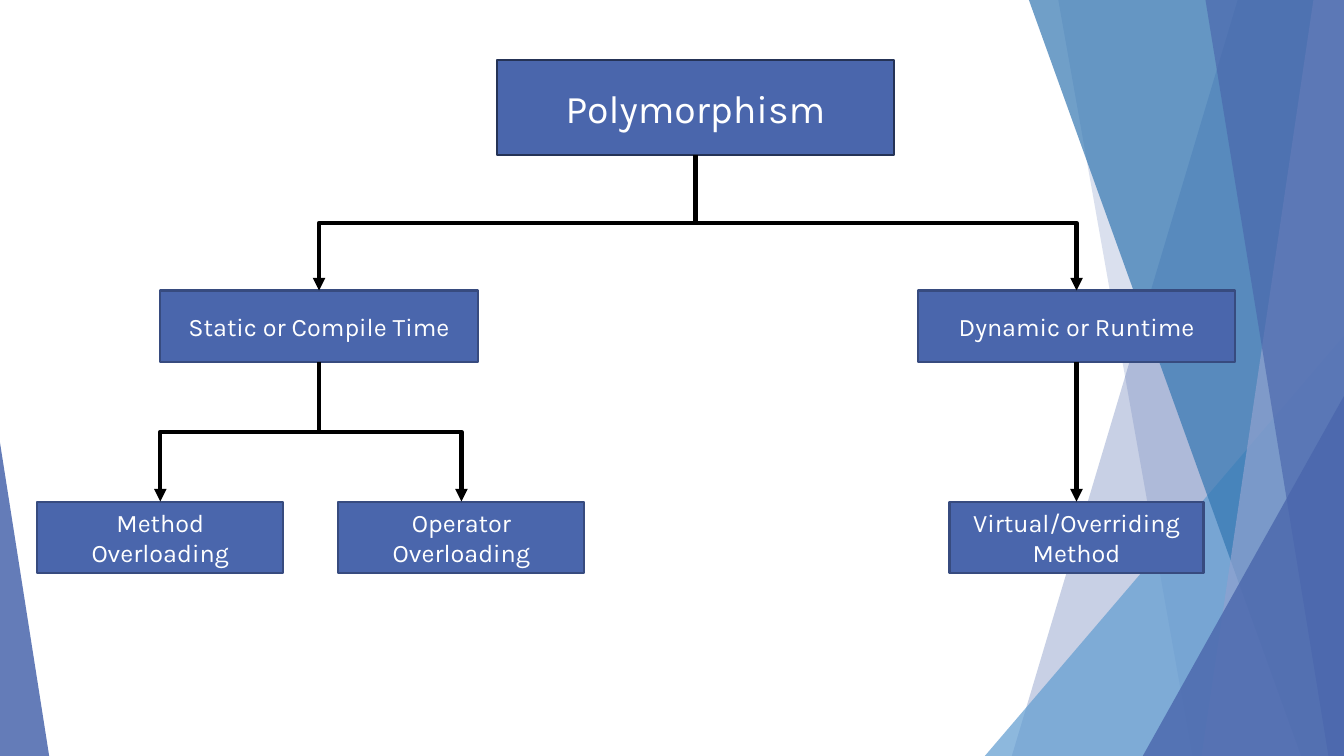
"""Builds the Polymorphism hierarchy slide with its faceted side panels."""
from lxml import etree
from pptx import Presentation, util as u
from pptx.dml.color import RGBColor
from pptx.enum import shapes as kinds, text
from pptx.oxml.ns import qn

Cm, Pt = u.Cm, u.Pt
WIDE, HIGH = 33.87, 19.05
FONT = "Karla"
HUES = {
    "white": "FFFFFF", "black": "000000", "blue": "4A66AC", "sky": "629DD1",
    "teal": "3477B2", "haze": "90A2CF", "navy": "253356", "edge": "374B7F",
}


def rgb(name):
    return RGBColor.from_string(HUES[name])


def draw_line(kind, ends, hue, width):
    line = slide.shapes.add_connector(kind, *ends)
    line.line.color.rgb = rgb(hue)
    line.line.width = Pt(width)
    etree.SubElement(line.element.spPr, qn("a:effectLst"))
    return line


deck = Presentation()
deck.slide_width, deck.slide_height = Cm(WIDE), Cm(HIGH)
slide = deck.slides.add_slide(deck.slide_layouts[5])
straight = kinds.MSO_CONNECTOR.STRAIGHT
elbow = kinds.MSO_CONNECTOR.ELBOW

for ends in [(26.04, 0, 29.41, HIGH), (WIDE, 10.24, 20.62, HIGH)]:
    draw_line(straight, [Cm(v) for v in ends], "white", 0.75)

# kind, geometry, hue, opacity
facets = [
    ("band", (31.19, 25.5), "blue", 30),
    ("band", (26.67, 30.05), "blue", 20),
    ("wedge", (24.82, 8.46, 9.05, 1), "sky", 72),
    ("band", (25.93, 32.79), "teal", 70),
    ("band", (33.1, 30.28), "haze", 70),
    ("band", (30.38, 33.48), "blue", 65),
    ("wedge", (28.8, 9.98, 5.07, 1), "blue", 80),
    ("wedge", (0, 11.15, 1.24, 0), "blue", 85),
]
for kind, geo, hue, alpha in facets:
    if kind == "band":
        top, base = geo
        path = slide.shapes.build_freeform(Cm(top), 0)
        corners = [(WIDE, 0), (WIDE, HIGH), (base, HIGH)]
        path.add_line_segments([(Cm(x), Cm(y)) for x, y in corners])
        facet = path.convert_to_shape()
    else:
        left, top, width, apex = geo
        facet = slide.shapes.add_shape(
            kinds.MSO_SHAPE.ISOSCELES_TRIANGLE,
            Cm(left), Cm(top), Cm(width), Cm(HIGH - top))
        facet.adjustments[0] = apex
    facet.shadow.inherit = False
    facet.fill.solid()
    facet.fill.fore_color.rgb = rgb(hue)
    facet.line.fill.background()
    tint = next(facet.element.spPr.iter(qn("a:srgbClr")))
    etree.SubElement(tint, qn("a:alpha"), val=str(alpha * 1000))

nodes = [
    ("root", "Polymorphism", 12.52, 1.52, 10.01, 2.39),
    ("static", "Static or Compile Time", 4.04, 7.32, 8, 1.8),
    ("dynamic", "Dynamic or Runtime", 23.13, 7.32, 8, 1.8),
    ("method", "Method Overloading", 0.94, 12.64, 6.2, 1.8),
    ("operator", "Operator Overloading", 8.53, 12.64, 6.2, 1.8),
    ("virtual", "Virtual/Overriding Method", 23.93, 12.64, 6.4, 1.8),
]
boxes = {}
for key, words, *place in nodes:
    left, top, width, height = [Cm(v) for v in place]
    if key == "root":
        box = slide.shapes.title
        box.left, box.top, box.width, box.height = left, top, width, height
    else:
        box = slide.shapes.add_shape(
            kinds.MSO_SHAPE.RECTANGLE, left, top, width, height)
        box.shadow.inherit = False
    box.fill.solid()
    box.fill.fore_color.rgb = rgb("blue")
    box.line.color.rgb = rgb("navy" if key == "root" else "edge")
    box.line.width = Pt(1.5)
    frame = box.text_frame
    frame.text = words
    frame.word_wrap = True
    frame.auto_size = text.MSO_AUTO_SIZE.NONE
    frame.vertical_anchor = text.MSO_ANCHOR.MIDDLE
    para = frame.paragraphs[0]
    para.alignment = text.PP_ALIGN.CENTER
    font = para.runs[0].font
    font.name = FONT
    font.size = Pt(28 if key == "root" else 18)
    font.color.rgb = rgb("white")
    boxes[key] = box

links = [
    ("root", "static"), ("root", "dynamic"), ("static", "method"),
    ("static", "operator"), ("dynamic", "virtual"),
]
for start, stop in links:
    head, tail = boxes[start], boxes[stop]
    x1, y1 = head.left + head.width // 2, head.top + head.height
    x2, y2 = tail.left + tail.width // 2, tail.top
    upright = start == "dynamic"
    link = draw_line(straight if upright else elbow,
                     (x1, y1, x2, y2), "black", 3)
    link.begin_connect(head, 2)
    link.end_connect(tail, 0)
    if not upright:
        span, drop = abs(x2 - x1), y2 - y1
        link.left = (x1 + x2 - drop) // 2
        link.top = (y1 + y2 - span) // 2
        link.width, link.height = drop, span
        right = x2 > x1
        turn = link.element.spPr.xfrm
        turn.set("rot", str((270 if right else 90) * 60000))
        turn.set("flipH", "1" if right else "0")
        turn.set("flipV", "0")
    stroke = link.element.spPr.find(qn("a:ln"))
    etree.SubElement(stroke, qn("a:tailEnd"), type="triangle")

deck.save("out.pptx")
